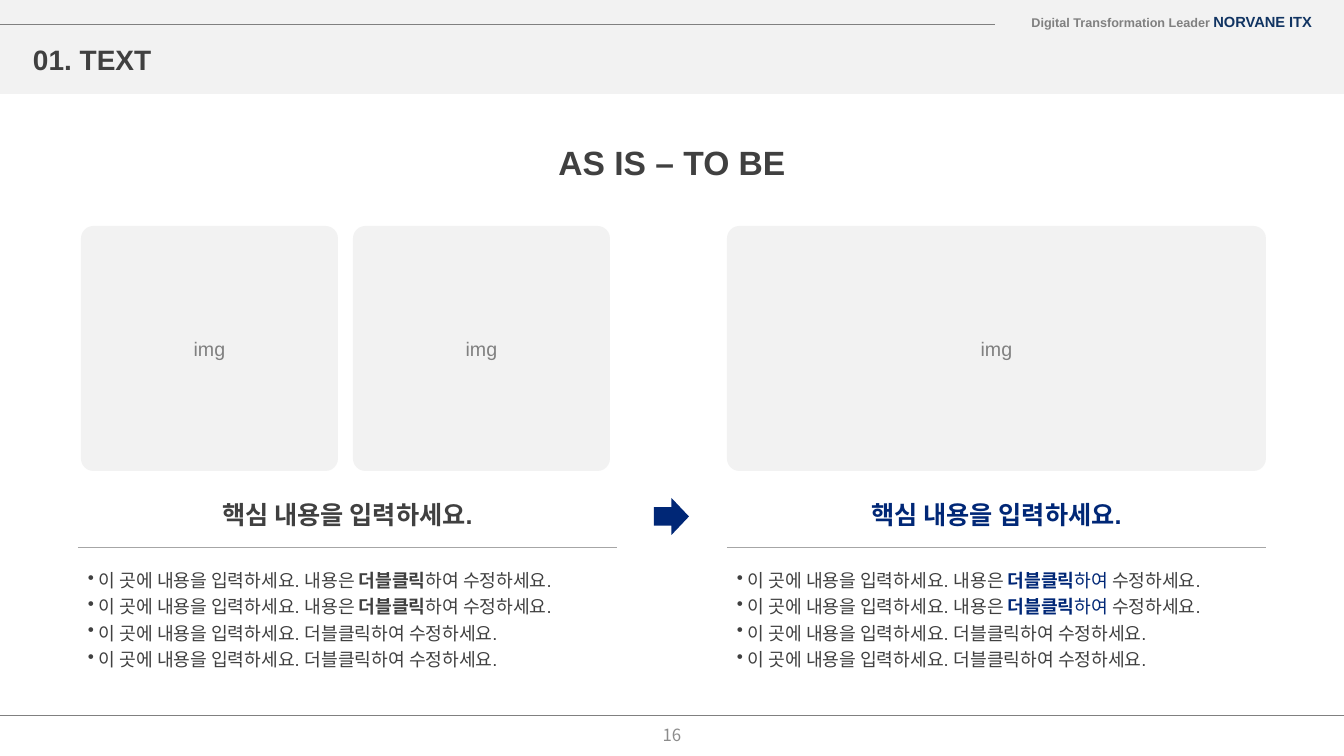
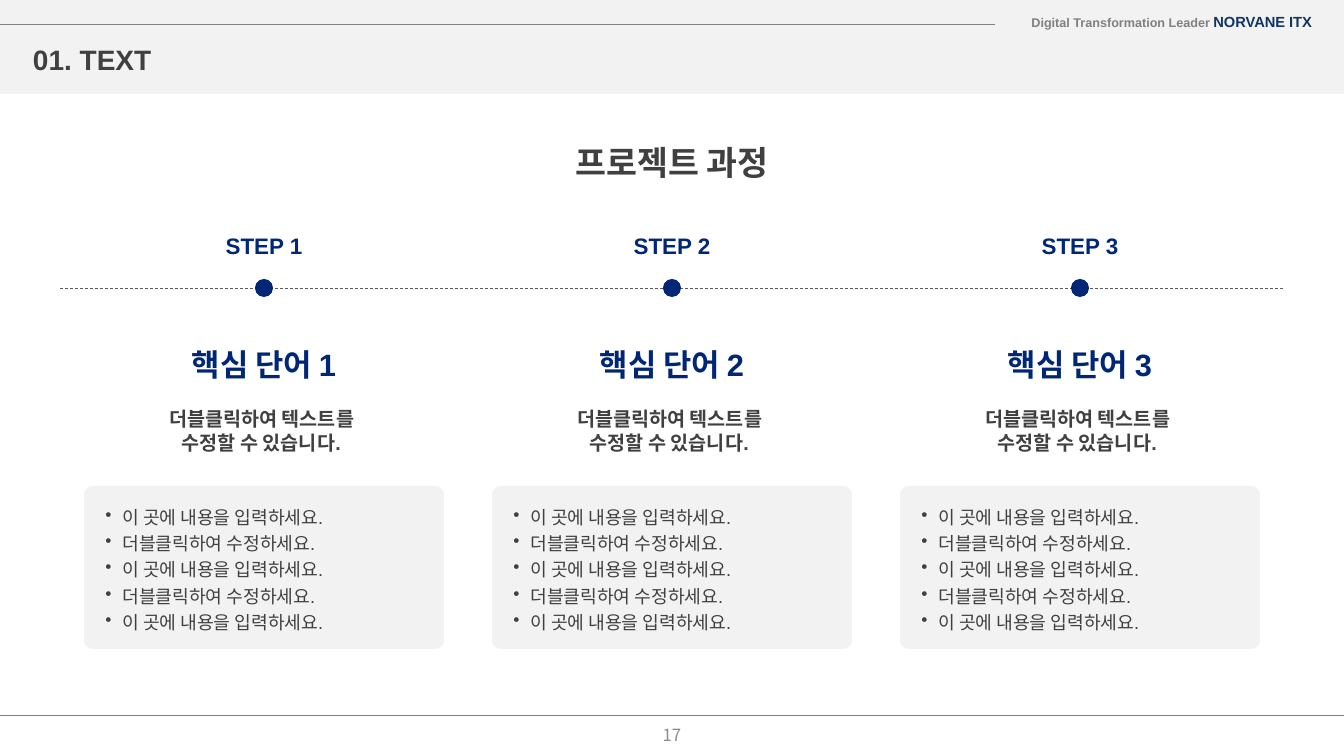
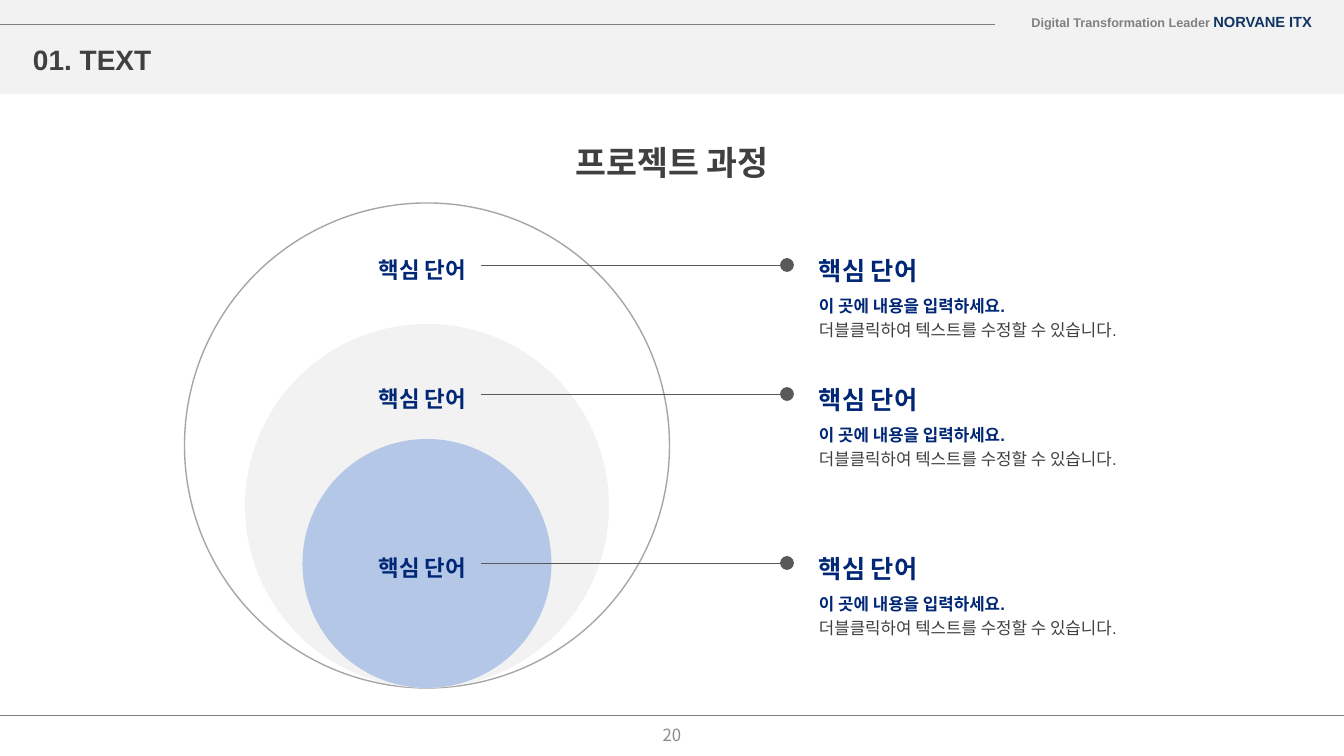
from dataclasses import dataclass, replace

from lxml.etree import SubElement
from pptx import Presentation
from pptx.dml.color import RGBColor
from pptx.enum.dml import MSO_LINE
from pptx.enum.shapes import MSO_CONNECTOR, MSO_SHAPE as SHAPE
from pptx.enum.text import MSO_ANCHOR as ANCHOR, MSO_AUTO_SIZE, PP_ALIGN as ALIGN
from pptx.oxml.ns import qn
from pptx.util import Emu, Pt

WIDE, HIGH = 1344, 756
SCALE = 12192000 / WIDE


@dataclass(frozen=True)
class Style:
    size: float
    color: str
    bold: bool = False
    font: str = "Arial"


class Theme:
    asian = "Noto Sans CJK KR"
    ink, navy, grey = "404040", "002776", "808080"
    white, pale, sky = "FFFFFF", "F2F2F2", "B4C7E7"
    rule, dark = "A6A6A6", "595959"
    hair, thin = 0.5, 1
    tight, loose = 0.7, 1.2
    round = 0.051
    motto = Style(9, grey, True)
    brand = Style(10.5, "113462", True)
    topic = Style(20, ink, True)
    head = Style(24, ink, True)
    page = Style(12, "8C8C8C", font=asian)
    image = Style(14, grey)
    body = Style(13, ink)
    key = Style(18, navy, True)
    step = Style(16, navy, True)
    word = Style(22, navy, True)
    sub = Style(14, ink, True)
    lead = Style(12, navy, True)
    note = Style(12, ink)


MOTTO = [("Digital Transformation Leader ", Theme.motto), ("NORVANE ITX", Theme.brand)]
TOPIC = "01. TEXT"

KEY = "핵심 내용을 입력하세요."
RICH = ("이 곳에 내용을 입력하세요. 내용은 ", "더블클릭", "하여 ", "수정하세요.")
PLAIN = "이 곳에 내용을 입력하세요. 더블클릭하여 수정하세요."
PANELS = [  # left, accent, images as (left, width)
    (78, Theme.ink, [(81, 257), (353, 257)]),
    (727, Theme.navy, [(727, 539)]),
]

STEPS = [("STEP 1", "핵심 단어 1"), ("STEP 2", "핵심 단어 2"), ("STEP 3", "핵심 단어 3")]
SUB = "더블클릭하여 텍스트를 \n수정할 수 있습니다. "
FILL, EDIT = "이 곳에 내용을 입력하세요.", "더블클릭하여 수정하세요."
ITEMS = [FILL, EDIT, FILL, EDIT, FILL]

RINGS = [(485, Theme.white, Theme.rule), (364, Theme.pale, None), (249, Theme.sky, None)]
TERM = "핵심 단어"
NOTE = [[(FILL, Theme.lead)], [("더블클릭하여 텍스트를 수정할 수 있습니다.", Theme.note)]]
CALLS = [265, 394, 563]


def px(n):
    return Emu(round(n * SCALE))


def rgb(code):
    return RGBColor.from_string(code)


def ink(run, style):
    font = run.font
    font.size, font.bold, font.name = Pt(style.size), style.bold, style.font
    font.color.rgb = rgb(style.color)
    SubElement(run._r.get_or_add_rPr(), qn("a:ea"), typeface=Theme.asian)


def bullet(para, left, hang):
    props = para._p.get_or_add_pPr()
    props.set("marL", str(px(left)))
    props.set("indent", str(-px(hang)))
    SubElement(props, qn("a:buChar"), char="•")


def write(shape, paras, style, align=ALIGN.CENTER, anchor=ANCHOR.MIDDLE, gap=None, dent=None):
    """Fill a shape; a paragraph is a string or a list of (text, style) pairs."""
    frame = shape.text_frame
    frame.word_wrap = True
    frame.auto_size = MSO_AUTO_SIZE.NONE
    frame.vertical_anchor = anchor
    for i, pieces in enumerate(paras):
        para = frame.add_paragraph() if i else frame.paragraphs[0]
        if dent:
            bullet(para, *dent)
        para.alignment = align
        if gap:
            para.line_spacing = gap
        if isinstance(pieces, str):
            para.text = pieces
            for run in para.runs:
                ink(run, style)
        else:
            for text, look in pieces:
                run = para.add_run()
                run.text = text
                ink(run, look)


def label(slide, box, paras, style, **opts):
    write(slide.shapes.add_textbox(*map(px, box)), paras, style, **opts)


def draw(slide, kind, box, fill, edge=None):
    shape = slide.shapes.add_shape(kind, *map(px, box))
    shape.shadow.inherit = False
    shape.fill.solid()
    shape.fill.fore_color.rgb = rgb(fill)
    if edge:
        shape.line.color.rgb = rgb(edge)
        shape.line.width = Pt(Theme.thin)
    else:
        shape.line.fill.background()
    return shape


def card(slide, box):
    shape = draw(slide, SHAPE.ROUNDED_RECTANGLE, box, Theme.pale)
    shape.adjustments[0] = Theme.round
    return shape


def rule(slide, start, end, y, color, dash=None, dot=False):
    line = slide.shapes.add_connector(MSO_CONNECTOR.STRAIGHT, px(start), px(y), px(end), px(y))
    line.line.color.rgb = rgb(color)
    line.line.width = Pt(Theme.hair)
    if dash:
        line.line.dash_style = dash
    props = line.element.spPr
    if dot:
        SubElement(props.find(qn("a:ln")), qn("a:tailEnd"), type="oval", w="lg", len="lg")
    SubElement(props, qn("a:effectLst"))


def start(deck, head, page):
    """Add a slide with the shared band, lines, labels and title."""
    slide = deck.slides.add_slide(deck.slide_layouts[5])
    draw(slide, SHAPE.RECTANGLE, (0, 0, WIDE, 94), Theme.pale)
    label(slide, (1005, 10, 317, 28), [MOTTO], Theme.motto, align=ALIGN.RIGHT, gap=Theme.tight)
    label(slide, (23, 38, 523, 42), [TOPIC], Theme.topic, align=ALIGN.LEFT)
    rule(slide, 0, 995, 24, Theme.grey)
    rule(slide, 0, WIDE, 715, Theme.grey)
    title = slide.shapes.title
    title.left, title.top, title.width, title.height = map(px, (410, 141, 524, 42))
    write(title, [head], Theme.head)
    slide.shapes.element.append(title.element)
    label(slide, (521, 715, 302, 40), [str(page)], Theme.page)
    return slide


def compare(deck):
    slide = start(deck, "AS IS – TO BE", 16)
    wide, inner = 539, 349
    for left, tone, images in PANELS:
        for x, w in images:
            write(card(slide, (x, 226, w, 245)), ["img"], Theme.image)
        label(slide, (left + (wide - inner) // 2, 493, inner, 42), [KEY],
              replace(Theme.key, color=tone))
        rule(slide, left, left + wide, 547, Theme.rule)
        soft = replace(Theme.body, color=tone)
        looks = (Theme.body, replace(soft, bold=True), soft, Theme.body)
        rich = list(zip(RICH, looks))
        label(slide, (left, 560, wide, 116), [rich, rich, PLAIN, PLAIN], Theme.body,
              align=ALIGN.LEFT, anchor=ANCHOR.TOP, gap=Theme.loose, dent=(11, 11))
    draw(slide, SHAPE.RIGHT_ARROW, (654, 498, 35, 37), Theme.navy)


def steps(deck):
    slide = start(deck, "프로젝트 과정", 17)
    rule(slide, 60, 1284, 288, Theme.dark, dash=MSO_LINE.DASH)
    pitch = 408
    for i, (step, word) in enumerate(STEPS):
        mid = WIDE // 2 + (i - 1) * pitch
        label(slide, (mid - 54, 225, 108, 42), [step], Theme.step)
        draw(slide, SHAPE.OVAL, (mid - 9, 279, 18, 18), Theme.navy)
        label(slide, (mid - 141, 343, 282, 42), [word], Theme.word)
        label(slide, (mid - 171, 391, 342, 79), [SUB], Theme.sub)
        write(card(slide, (mid - 180, 486, 360, 163)), ITEMS, Theme.body,
              align=ALIGN.LEFT, gap=Theme.loose, dent=(26, 17))


def rings(deck):
    slide = start(deck, "프로젝트 과정", 20)
    mid, base = 427, 688
    for size, fill, edge in RINGS:
        draw(slide, SHAPE.OVAL, (mid - size / 2, base - size, size, size), fill, edge)
    opts = dict(align=ALIGN.LEFT, anchor=ANCHOR.TOP, gap=Theme.loose)
    for y in CALLS:
        label(slide, (369, y - 19, 115, 38), [TERM], Theme.step, **opts)
        rule(slide, 481, 787, y, Theme.dark, dot=True)
        label(slide, (809, y - 21, 127, 42), [TERM], Theme.key, **opts)
        label(slide, (809, y + 22, 360, 59), NOTE, Theme.note, **opts)


def main():
    deck = Presentation()
    deck.slide_width, deck.slide_height = px(WIDE), px(HIGH)
    for build in (compare, steps, rings):
        build(deck)
    deck.save("out.pptx")


if __name__ == "__main__":
    main()
